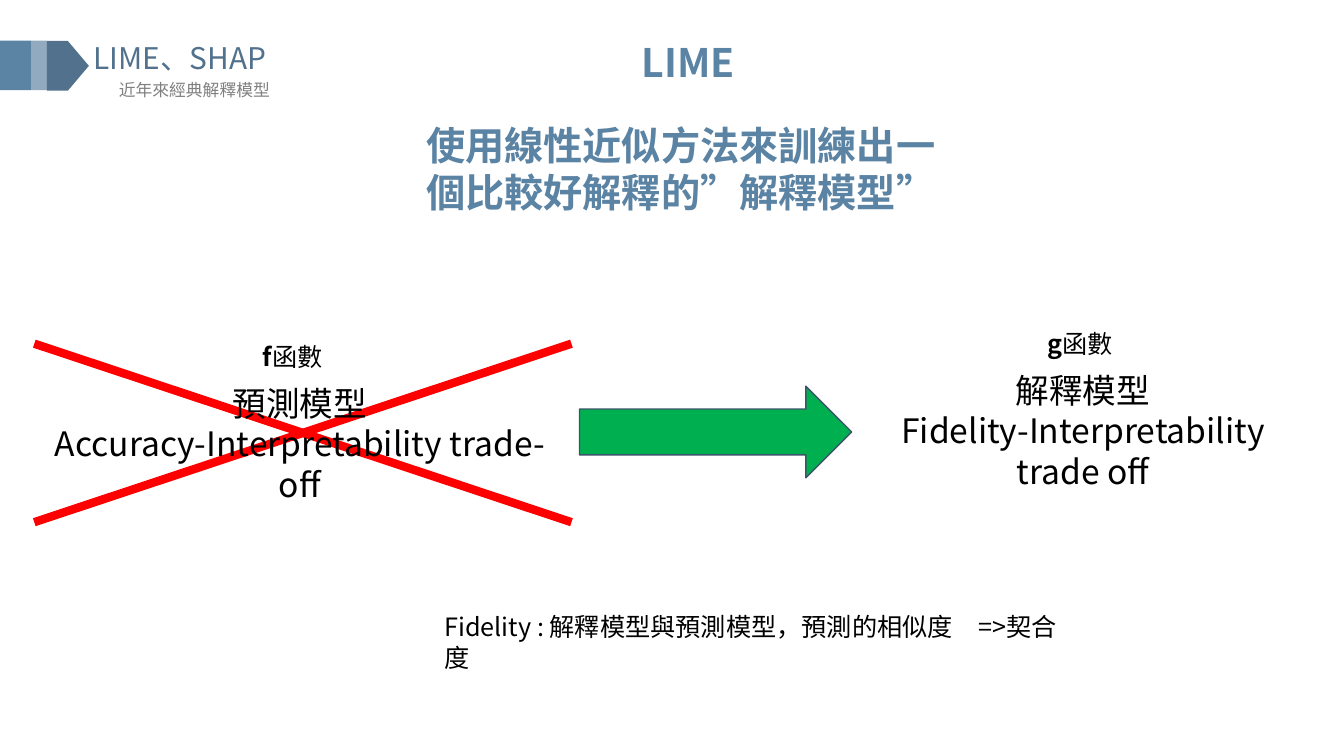
from lxml.etree import SubElement
from pptx import Presentation
from pptx.dml.color import RGBColor
from pptx.enum.shapes import MSO_CONNECTOR, MSO_SHAPE
from pptx.enum.text import MSO_AUTO_SIZE, PP_ALIGN
from pptx.oxml.ns import qn
from pptx.util import Pt

FONT = "Noto Sans CJK SC"
BLUE, DARK_BLUE, PALE_BLUE = "5B83A4", "51718D", "91AAC0"
BLACK, GRAY, RED, GREEN, OUTLINE = "000000", "808080", "FF0000", "00B050", "3C5468"


def rgb(value):
    return RGBColor.from_string(value)


class SlideBuilder:
    """Draws styled elements on the current slide, with lengths in points."""

    def __init__(self, slide, font):
        self.slide = slide
        self.font = font

    def text(self, box, lines, size, color=BLACK, bold=None, align=PP_ALIGN.LEFT):
        sp = self.slide.shapes.add_textbox(*map(Pt, box))
        tf = sp.text_frame
        tf.word_wrap = True
        tf.auto_size = MSO_AUTO_SIZE.SHAPE_TO_FIT_TEXT
        for i, line in enumerate(lines):
            p = tf.add_paragraph() if i else tf.paragraphs[0]
            p.text = line
            p.alignment = align
            p.font.name = self.font
            p.font.size = Pt(size)
            p.font.bold = bold
            p.font.color.rgb = rgb(color)
            SubElement(p.font._element, qn("a:ea"), typeface=self.font)
        return tf

    def function_label(self, box, letter):
        p = self.text(box, [letter], 18).paragraphs[0]
        p.runs[0].font.bold = True
        p.add_run().text = "函數"

    def shape(self, kind, box, fill, outline=None):
        sp = self.slide.shapes.add_shape(kind, *map(Pt, box))
        sp.shadow.inherit = False
        sp.fill.solid()
        sp.fill.fore_color.rgb = rgb(fill)
        if outline:
            sp.line.color.rgb = rgb(outline)
            sp.line.width = Pt(1)
        else:
            sp.line.fill.background()

    def line(self, start, end, color, width):
        cxn = self.slide.shapes.add_connector(
            MSO_CONNECTOR.STRAIGHT, *map(Pt, start + end))
        cxn.line.color.rgb = rgb(color)
        cxn.line.width = Pt(width)
        SubElement(cxn._element.spPr, qn("a:effectLst"))


def main():
    prs = Presentation()
    prs.slide_width, prs.slide_height = Pt(960), Pt(540)
    s = SlideBuilder(prs.slides.add_slide(prs.slide_layouts[6]), FONT)

    s.text((59.8, 24.5, 187, 33), ["LIME、SHAP"], 21.3, DARK_BLUE,
           align=PP_ALIGN.JUSTIFY)
    s.text((77.8, 53.3, 144, 22), ["近年來經典解釋模型"], 12, GRAY,
           align=PP_ALIGN.JUSTIFY)
    s.shape(MSO_SHAPE.RECTANGLE, (0, 29, 22.3, 35.5), BLUE)
    s.shape(MSO_SHAPE.RECTANGLE, (22.3, 29, 11.2, 35.5), PALE_BLUE)
    s.shape(MSO_SHAPE.PENTAGON, (33.5, 29.3, 30, 35.5), DARK_BLUE)

    s.text((346.3, 23.8, 291, 41), ["LIME"], 28, BLUE, True, PP_ALIGN.CENTER)
    s.text((297.4, 82.8, 389.5, 75),
           ["使用線性近似方法來訓練出一個比較好解釋的”解釋模型”"], 28, BLUE, True)

    s.text((612.7, 260.6, 321.8, 94.3),
           ["解釋模型", "Fidelity-Interpretability trade off"], 24,
           align=PP_ALIGN.CENTER)

    left, top, right, bottom = 24.5, 245.5, 408.2, 373
    s.line((left, top), (right, bottom), RED, 6)
    s.line((left, bottom), (right, top), RED, 6)
    s.text((19.4, 270, 389.5, 65.5),
           ["預測模型", "Accuracy-Interpretability trade-off"], 24,
           align=PP_ALIGN.CENTER)

    s.shape(MSO_SHAPE.RIGHT_ARROW, (414, 275.8, 194.4, 65.5), GREEN, OUTLINE)
    s.text((310.3, 433.4, 468.7, 29),
           ["Fidelity : 解釋模型與預測模型，預測的相似度　=>契合度"], 18)
    s.function_label((180.7, 240.5, 71.3, 29), "f")
    s.function_label((740.9, 231.1, 123.8, 29), "g")

    prs.save("out.pptx")


if __name__ == "__main__":
    main()
